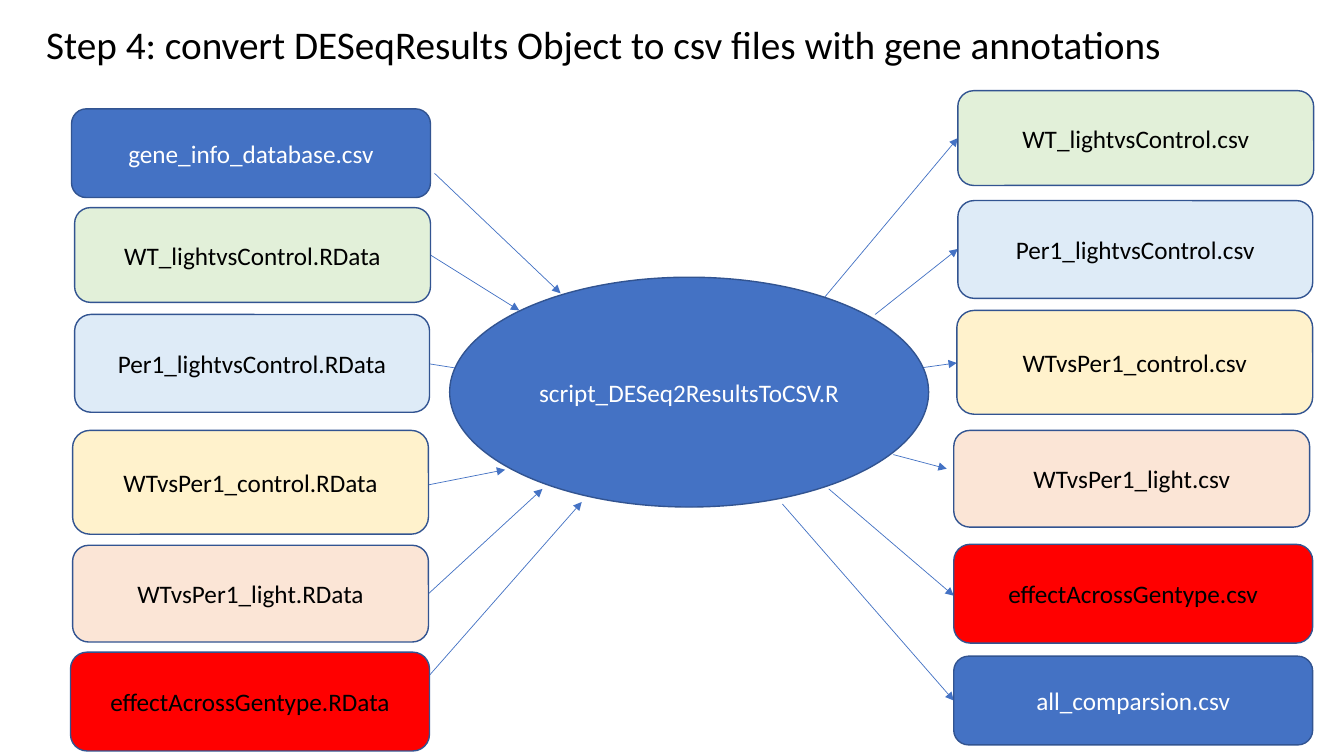
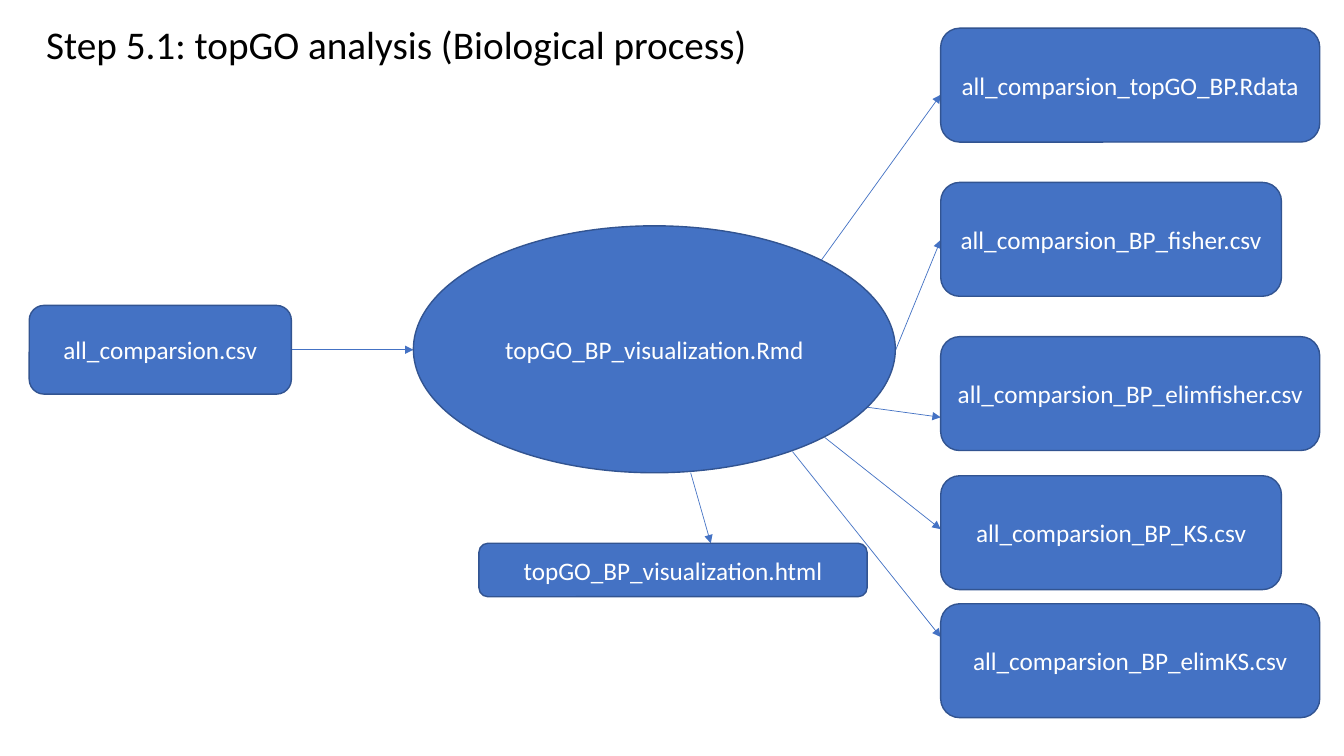
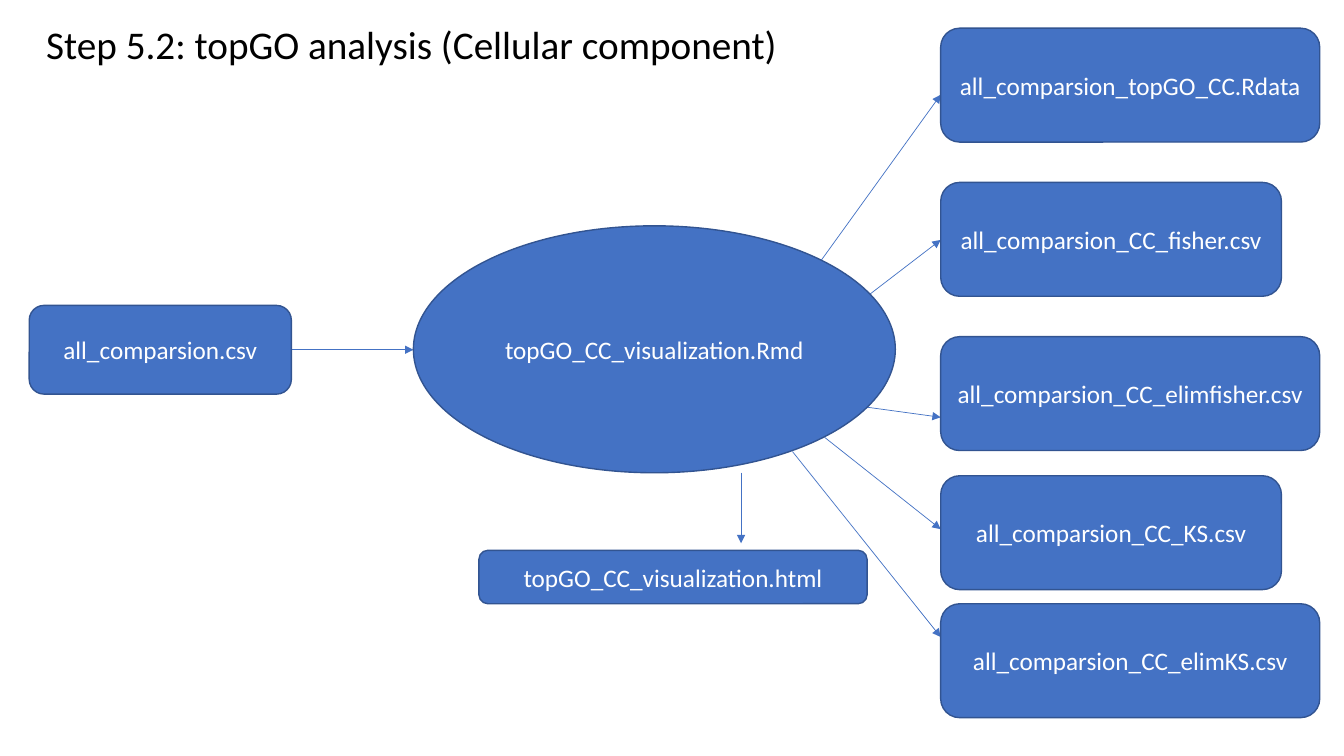
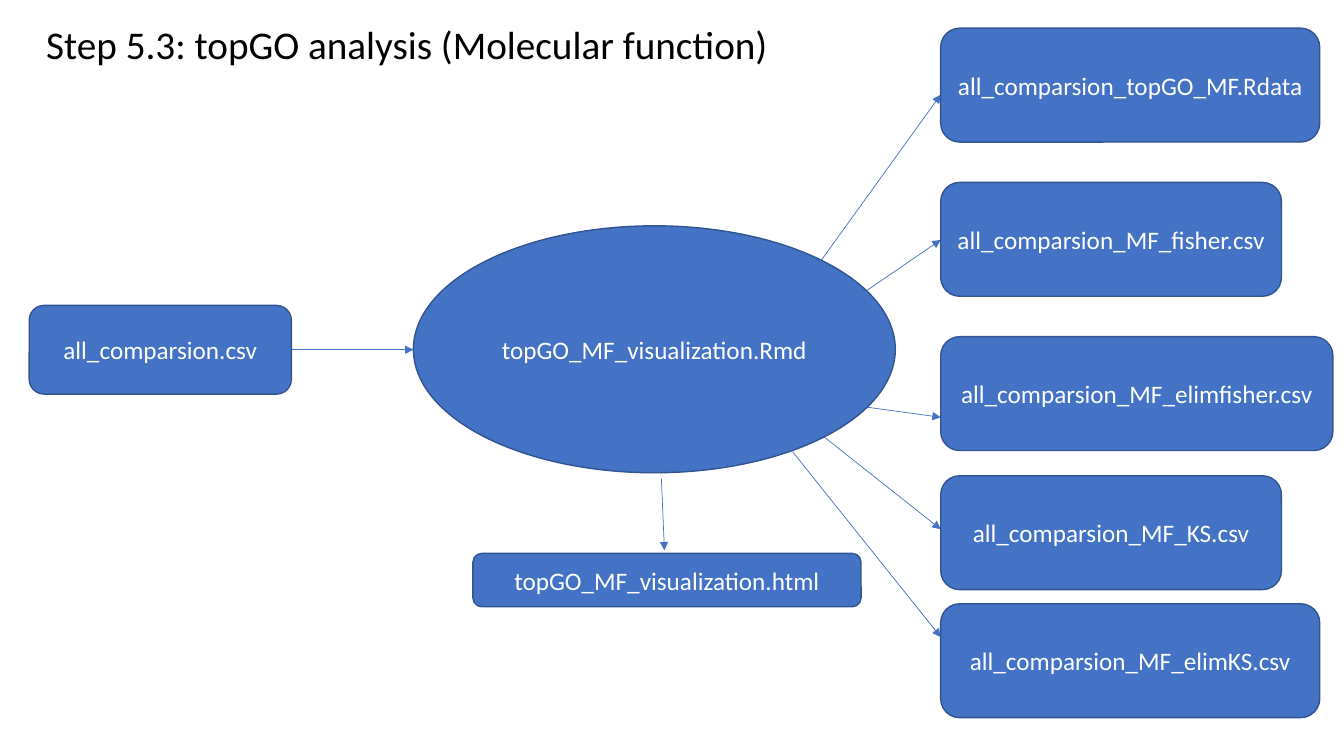
from pptx import Presentation
from pptx import util as u
from pptx.dml.color import RGBColor
from pptx.enum import shapes, text
from pptx.oxml.ns import qn
from lxml import etree

SLIDE_W, SLIDE_H = 13.33, 7.5
FONT = "Calibri"
BLUE, OUTLINE, WHITE, BLACK = "4472C4", "325491", "FFFFFF", "000000"
ROUNDED = shapes.MSO_SHAPE.ROUNDED_RECTANGLE
OVAL = shapes.MSO_SHAPE.OVAL

# Step 4: each comparison keeps its colour and size on both sides
# comparison: (fill, width, height)
COMPARISONS = {
    "gene_info_database": (BLUE, 3.56, 0.88),
    "WT_lightvsControl": ("E2F0D9", 3.53, 0.94),
    "Per1_lightvsControl": ("DEEBF7", 3.52, 0.97),
    "WTvsPer1_control": ("FFF2CC", 3.53, 1.03),
    "WTvsPer1_light": ("FBE5D6", 3.53, 0.96),
    "effectAcrossGentype": ("FF0000", 3.56, 0.98),
    "all_comparsion": (BLUE, 3.56, 0.88),
}
# (comparison, extension, left, top, arrow start, arrow end)
STEP_4_FILES = [
    ("gene_info_database", "csv", 0.71, 1.08, (4.31, 1.72), (5.56, 2.91)),
    ("WT_lightvsControl", "RData", 0.74, 2.06, (4.27, 2.53), (5.15, 3.08)),
    ("Per1_lightvsControl", "RData", 0.74, 3.12, (4.26, 3.61), (4.89, 3.71)),
    ("WTvsPer1_control", "RData", 0.72, 4.27, (4.25, 4.81), (5.01, 4.66)),
    ("WTvsPer1_light", "RData", 0.72, 5.41, (4.25, 5.89), (5.38, 4.85)),
    ("effectAcrossGentype", "RData", 0.7, 6.47, (4.25, 6.71), (5.77, 4.98)),
    ("WT_lightvsControl", "csv", 9.5, 0.9, (7.81, 3.39), (9.5, 1.37)),
    ("Per1_lightvsControl", "csv", 9.5, 1.99, (8.68, 3.12), (9.5, 2.47)),
    ("WTvsPer1_control", "csv", 9.49, 3.08, (8.99, 3.67), (9.49, 3.6)),
    ("WTvsPer1_light", "csv", 9.46, 4.27, (8.86, 4.51), (9.39, 4.65)),
    ("effectAcrossGentype", "csv", 9.46, 5.4, (8.22, 4.85), (9.46, 5.91)),
    ("all_comparsion", "csv", 9.46, 6.51, (7.76, 5), (9.46, 6.95)),
]

# Step 5: the three ontologies share one layout
OUTPUT_LEFT, OUTPUT_H = 9.33, 1.13
NARROW, WIDE = 3.38, 3.76
# (file name, top, width, arrow start, height of arrow end)
STEP_5_OUTPUTS = [
    ("all_comparsion_topGO_{}.Rdata", 0.28, WIDE, (8.14, 2.59), 0.94),
    ("all_comparsion_{}_fisher.csv", 1.81, NARROW, None, 2.38),
    ("all_comparsion_{}_elimfisher.csv", 3.34, WIDE, (8.6, 4.04), 4.14),
    ("all_comparsion_{}_KS.csv", 4.72, NARROW, (8.18, 4.34), 5.25),
    ("all_comparsion_{}_elimKS.csv", 5.99, WIDE, (7.86, 4.48), 6.32),
]
ONTOLOGIES = [
    dict(code="BP", title="Step 5.1: topGO analysis (Biological process)",
         fisher_start=(8.88, 3.48), html_at=(4.75, 5.39),
         html_arrow=((6.85, 4.69), (7.05, 5.39)), widths={}),
    dict(code="CC", title="Step 5.2: topGO analysis (Cellular component)",
         fisher_start=(8.6, 2.94), html_at=(4.75, 5.46),
         html_arrow=((7.35, 4.69), (7.35, 5.39)), widths={}),
    dict(code="MF", title="Step 5.3: topGO analysis (Molecular function)",
         fisher_start=(8.6, 2.88), html_at=(4.69, 5.49),
         html_arrow=((6.56, 4.75), (6.59, 5.46)),
         widths={"all_comparsion_{}_elimfisher.csv": 3.89}),
]


def rgb(value):
    return RGBColor.from_string(value)


def inches(*lengths):
    return [u.Inches(length) for length in lengths]


def add_text(paragraph, words, size, colour):
    run = paragraph.add_run()
    run.text = words
    run.font.name = FONT
    run.font.size = u.Pt(size)
    run.font.color.rgb = rgb(colour)


def add_title(slide, words):
    frame = slide.shapes.add_textbox(*inches(0.36, 0.2, 11.36, 0.48)).text_frame
    frame.word_wrap = True
    frame.paragraphs[0].line_spacing = 0.9
    add_text(frame.paragraphs[0], words, 28, BLACK)


def add_node(slide, kind, words, left, top, width, height, fill=BLUE):
    node = slide.shapes.add_shape(kind, *inches(left, top, width, height))
    node.shadow.inherit = False
    node.fill.solid()
    node.fill.fore_color.rgb = rgb(fill)
    node.line.color.rgb = rgb(OUTLINE)
    node.line.width = u.Pt(1)
    frame = node.text_frame
    frame.word_wrap = True
    frame.vertical_anchor = text.MSO_ANCHOR.MIDDLE
    frame.paragraphs[0].alignment = text.PP_ALIGN.CENTER
    add_text(frame.paragraphs[0], words, 18, WHITE if fill == BLUE else BLACK)


def add_arrow(slide, start, end):
    arrow = slide.shapes.add_connector(
        shapes.MSO_CONNECTOR.STRAIGHT, *inches(*start, *end))
    arrow.line.color.rgb = rgb(BLUE)
    arrow.line.width = u.Pt(0.5)
    etree.SubElement(arrow.line._get_or_add_ln(), qn("a:tailEnd"), type="triangle")
    etree.SubElement(arrow._element.spPr, qn("a:effectLst"))


def add_flow(deck, title, arrows, nodes):
    """Add a slide with its arrows behind its nodes."""
    slide = deck.slides.add_slide(deck.slide_layouts[6])
    for start, end in arrows:
        add_arrow(slide, start, end)
    for node in nodes:
        add_node(slide, *node)
    add_title(slide, title)


def add_step_4(deck):
    arrows = []
    nodes = [(OVAL, "script_DESeq2ResultsToCSV.R", 4.46, 2.75, 4.75, 2.28)]
    for comparison, extension, left, top, start, end in STEP_4_FILES:
        fill, width, height = COMPARISONS[comparison]
        arrows.append((start, end))
        nodes.append((ROUNDED, f"{comparison}.{extension}",
                      left, top, width, height, fill))
    add_flow(deck, "Step 4: convert DESeqResults Object to csv files with gene annotations",
             arrows, nodes)


def add_step_5(deck, ontology):
    code = ontology["code"]
    arrows = [((2.89, 3.47), (4.1, 3.47)), ontology["html_arrow"]]
    nodes = [
        (ROUNDED, "all_comparsion.csv", 0.29, 3.03, 2.6, 0.88),
        (OVAL, f"topGO_{code}_visualization.Rmd", 4.1, 2.24, 4.78, 2.45),
        (ROUNDED, f"topGO_{code}_visualization.html", *ontology["html_at"], 3.85, 0.53),
    ]
    for name, top, width, start, end_y in STEP_5_OUTPUTS:
        arrows.append((start or ontology["fisher_start"], (OUTPUT_LEFT, end_y)))
        nodes.append((ROUNDED, name.format(code), OUTPUT_LEFT, top,
                      ontology["widths"].get(name, width), OUTPUT_H))
    add_flow(deck, ontology["title"], arrows, nodes)


def main():
    deck = Presentation()
    deck.slide_width, deck.slide_height = inches(SLIDE_W, SLIDE_H)
    add_step_4(deck)
    for ontology in ONTOLOGIES:
        add_step_5(deck, ontology)
    deck.save("out.pptx")


if __name__ == "__main__":
    main()
